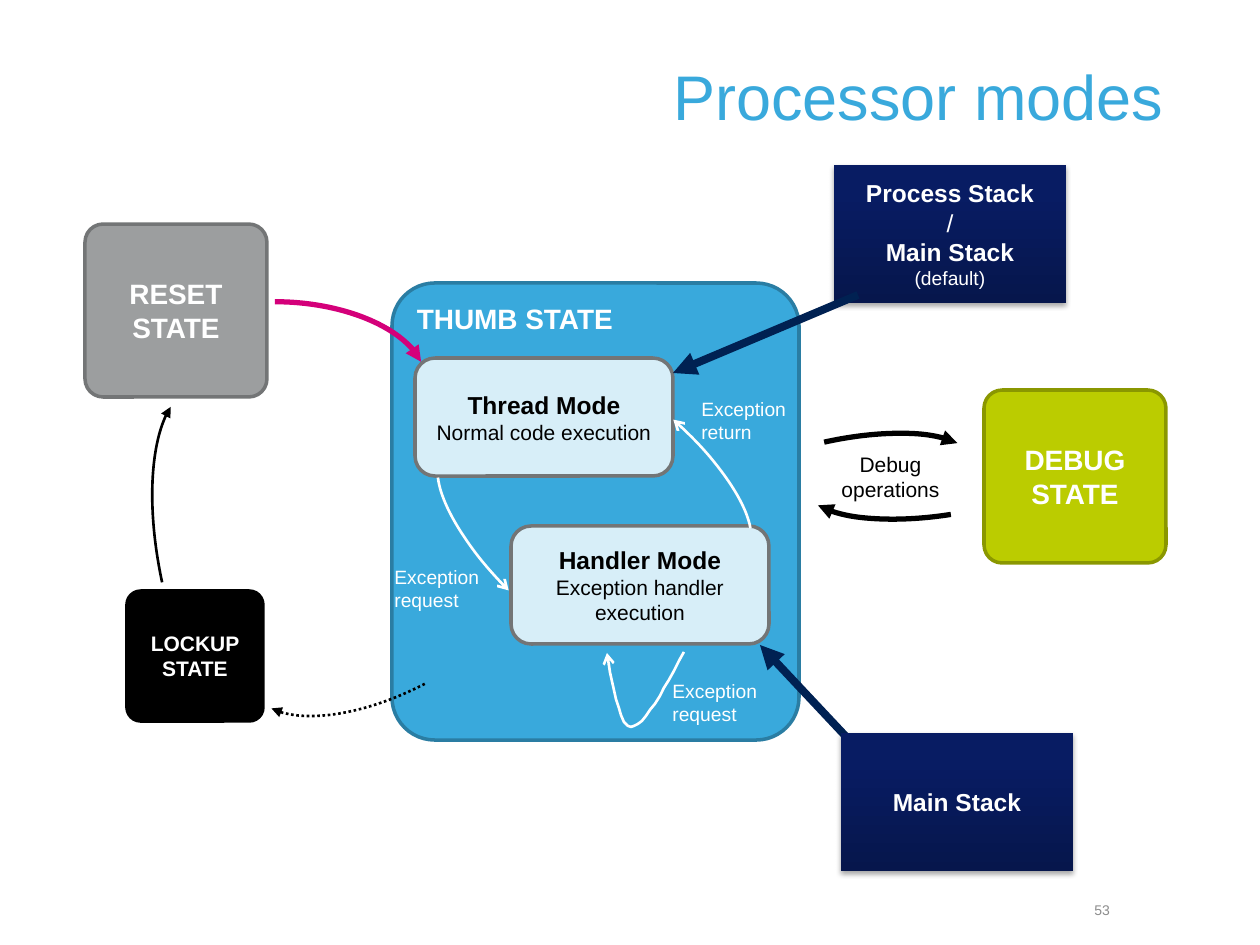
from dataclasses import dataclass
from typing import NamedTuple

import pptx
import pptx.util
import pptx.dml.color
import pptx.enum.dml
import pptx.enum.shapes
import pptx.enum.text
import pptx.oxml
import pptx.oxml.ns

SCALE = 914400 / 126  # EMU in one px
KIND = pptx.enum.shapes.MSO_SHAPE
ALIGN = pptx.enum.text.PP_ALIGN
ANCHOR = pptx.enum.text.MSO_ANCHOR
NS = pptx.oxml.ns.nsdecls("a")


@dataclass(frozen=True)
class Theme:
    font: str = "Arial"
    blue: str = "39A9DC"
    rim: str = "2A7DA3"
    pale: str = "D7EEF8"
    lime: str = "BBCC00"
    olive: str = "8A9700"
    gray: str = "9C9E9F"
    slate: str = "737576"
    faint: str = "8C8C8C"
    pink: str = "D4007A"
    navy: str = "002152"
    deep: str = "06164C"
    top: str = "081C63"
    white: str = "FFFFFF"
    black: str = "000000"
    title: int = 36
    state: int = 16
    mode: int = 14
    body: int = 12
    note: int = 11
    foot: int = 8


T = Theme()


class Rect(NamedTuple):
    x: int
    y: int
    w: int
    h: int


class Line(NamedTuple):
    text: str
    size: int
    bold: bool = False


@dataclass(frozen=True)
class Box:
    rect: Rect
    fill: str
    rim: str
    ink: str
    lines: tuple[Line, ...]
    bend: float = 0.105
    align: int = ALIGN.CENTER
    anchor: int = ANCHOR.MIDDLE


@dataclass(frozen=True)
class Arc:
    rect: Rect
    turn: float
    color: str
    width: float
    head: str = ""
    tail: str = ""
    start: float = 162
    dots: bool = False


@dataclass(frozen=True)
class Label:
    rect: Rect
    ink: str
    lines: tuple[Line, ...]
    align: int = ALIGN.LEFT
    wrap: bool = True


def emu(*px: float) -> list[int]:
    return [round(p * SCALE) for p in px]


def rgb(code: str) -> pptx.dml.color.RGBColor:
    return pptx.dml.color.RGBColor.from_string(code)


def write(frame, lines: tuple[Line, ...], ink: str, align: int, anchor: int) -> None:
    frame.text = "\n".join(line.text for line in lines)
    frame.vertical_anchor = anchor
    for para, line in zip(frame.paragraphs, lines):
        para.alignment = align
        for run in para.runs:
            font = run.font
            font.name, font.size, font.bold = T.font, pptx.util.Pt(line.size), line.bold
            font.color.rgb = rgb(ink)


def stroke(shape, color: str, width: float, head: str = "", tail: str = "",
           dots: bool = False) -> None:
    line = shape.line
    line.color.rgb = rgb(color)
    line.width = pptx.util.Pt(width)
    if dots:
        line.dash_style = pptx.enum.dml.MSO_LINE.ROUND_DOT
    for tag, kind in (("headEnd", head), ("tailEnd", tail)):
        if kind:
            line._get_or_add_ln().append(
                pptx.oxml.parse_xml(f'<a:{tag} {NS} type="{kind}"/>'))


def draw_box(slide, box: Box) -> None:
    shape = slide.shapes.add_shape(KIND.ROUNDED_RECTANGLE, *emu(*box.rect))
    shape.adjustments[0] = box.bend
    shape.shadow.inherit = False
    shape.fill.solid()
    shape.fill.fore_color.rgb = rgb(box.fill)
    stroke(shape, box.rim, 2)
    write(shape.text_frame, box.lines, box.ink, box.align, box.anchor)


def draw_arc(slide, arc: Arc) -> None:
    shape = slide.shapes.add_shape(KIND.ARC, *emu(*arc.rect))
    shape.adjustments[0], shape.adjustments[1] = arc.start, 210.68
    shape.rotation = arc.turn
    shape.shadow.inherit = False
    shape.fill.background()
    stroke(shape, arc.color, arc.width, arc.head, arc.tail, arc.dots)


def draw_label(slide, label: Label) -> None:
    frame = slide.shapes.add_textbox(*emu(*label.rect)).text_frame
    frame.word_wrap = label.wrap
    write(frame, label.lines, label.ink, label.align, ANCHOR.TOP)


def draw_stack(slide, x: int, y: int, lines: tuple[Line, ...]) -> None:
    shape = slide.shapes.add_shape(KIND.RECTANGLE, *emu(x, y, 232, 138))
    shape.fill.gradient()
    shape.fill.gradient_angle = 90
    for stop, color, place in zip(shape.fill.gradient_stops, (T.deep, T.top), (0, 0.8)):
        stop.color.rgb, stop.position = rgb(color), place
    shape.line.fill.background()
    shape._element.spPr.append(pptx.oxml.parse_xml(
        f'<a:effectLst {NS}><a:outerShdw blurRad="39370" dist="22860" dir="5400000" '
        'rotWithShape="0"><a:srgbClr val="000000"><a:alpha val="35000"/></a:srgbClr>'
        '</a:outerShdw></a:effectLst>'))
    write(shape.text_frame, lines, T.white, ALIGN.CENTER, ANCHOR.MIDDLE)


def draw_link(slide, *ends: int) -> None:
    link = slide.shapes.add_connector(pptx.enum.shapes.MSO_CONNECTOR.STRAIGHT, *emu(*ends))
    link._element.spPr.append(pptx.oxml.parse_xml(f"<a:effectLst {NS}/>"))
    stroke(link, T.navy, 4.5, tail="triangle")


def curve(a, b, c, d, steps: int = 12) -> list[tuple[float, float]]:
    """Points along a cubic Bezier, without its first one."""
    def at(t: float, i: int) -> float:
        u = 1 - t
        return u**3 * a[i] + 3 * u * u * t * b[i] + 3 * u * t * t * c[i] + t**3 * d[i]
    return [(at(n / steps, 0), at(n / steps, 1)) for n in range(1, steps + 1)]


def draw_loop(slide) -> None:
    start, low, end = (684, 652), (631, 727), (607, 653)
    path = slide.shapes.build_freeform(*start, scale=SCALE)
    path.add_line_segments(curve(start, (664, 690), (644, 727), low)
                           + curve(low, (617, 727), end, end), close=False)
    shape = path.convert_to_shape()
    shape.shadow.inherit = False
    shape.fill.background()
    stroke(shape, T.white, 1.5, tail="arrow")


def state(*words: str, size: int = T.state) -> tuple[Line, ...]:
    return tuple(Line(word, size, True) for word in words)


def mode(name: str, text: str) -> tuple[Line, ...]:
    return Line(name, T.mode, True), Line(text, T.body)


def note(x: int, y: int, text: str) -> Label:
    return Label(Rect(x, y, 140, 59), T.white, (Line(text, T.note),))


BOXES = (
    Box(Rect(392, 283, 407, 457), T.blue, T.rim, T.white, state("THUMB STATE"),
        align=ALIGN.LEFT, anchor=ANCHOR.TOP),
    Box(Rect(984, 390, 182, 173), T.lime, T.olive, T.white, state("DEBUG STATE")),
    Box(Rect(127, 591, 136, 130), T.black, T.black, T.white,
        state("LOCKUP STATE", size=T.body)),
    Box(Rect(85, 224, 182, 173), T.gray, T.slate, T.white, state("RESET", "STATE")),
    Box(Rect(415, 358, 258, 118), T.pale, T.slate, T.black,
        mode("Thread Mode", "Normal code execution"), 0.17),
    Box(Rect(511, 526, 258, 118), T.pale, T.slate, T.black,
        mode("Handler Mode", "Exception handler execution"), 0.17),
)
ARCS = (
    Arc(Rect(236, 548, 311, 144), 152.5, T.black, 1.5, tail="triangle", dots=True),
    Arc(Rect(498, 407, 284, 100), 41.7, T.white, 1.5, head="arrow"),
    Arc(Rect(402, 505, 284, 100), 225, T.white, 1.5, head="arrow"),
    Arc(Rect(693, 441, 284, 100), 347.5, T.black, 3, tail="triangle"),
    Arc(Rect(50, 495, 365, 144), 257.8, T.black, 1.5, tail="triangle"),
    Arc(Rect(801, 415, 284, 100), 171, T.black, 3, tail="triangle"),
    Arc(Rect(145, 302, 281, 147), 3.1, T.pink, 3, tail="triangle", start=155.2),
)
LABELS = (
    note(689, 391, "Exception return"),
    note(382, 559, "Exception request"),
    note(660, 673, "Exception request"),
    Label(Rect(829, 445, 123, 63), T.black,
          (Line("Debug", T.body), Line("operations", T.body)), ALIGN.CENTER, False),
)


def main() -> None:
    deck = pptx.Presentation()
    deck.slide_width, deck.slide_height = emu(1260, 945)
    slide = deck.slides.add_slide(deck.slide_layouts[5])

    # Title and page number
    title = slide.shapes.title
    title.left, title.top, title.width, title.height = emu(63, 16, 1113, 158)
    write(title.text_frame, (Line("Processor modes", T.title),), T.blue,
          ALIGN.RIGHT, ANCHOR.MIDDLE)
    page = slide.shapes.add_textbox(*emu(640, 902, 470, 16)).text_frame
    page.margin_left = page.margin_right = page.margin_top = page.margin_bottom = 0
    page.word_wrap = True
    write(page, (Line("53", T.foot),), T.faint, ALIGN.RIGHT, ANCHOR.MIDDLE)

    # States, modes and the moves between them
    for box in BOXES:
        draw_box(slide, box)
    for arc in ARCS:
        draw_arc(slide, arc)
    for label in LABELS:
        draw_label(slide, label)
    draw_loop(slide)

    # Stacks, each pointing at its mode
    draw_stack(slide, 834, 165, (
        Line("Process Stack", T.mode, True), Line("/", T.mode),
        Line("Main Stack", T.mode, True), Line("(default)", T.note)))
    draw_link(slide, 868, 760, 760, 645)
    draw_stack(slide, 841, 733, state("Main Stack", size=T.mode))
    draw_link(slide, 858, 295, 673, 373)

    deck.save("out.pptx")


if __name__ == "__main__":
    main()
